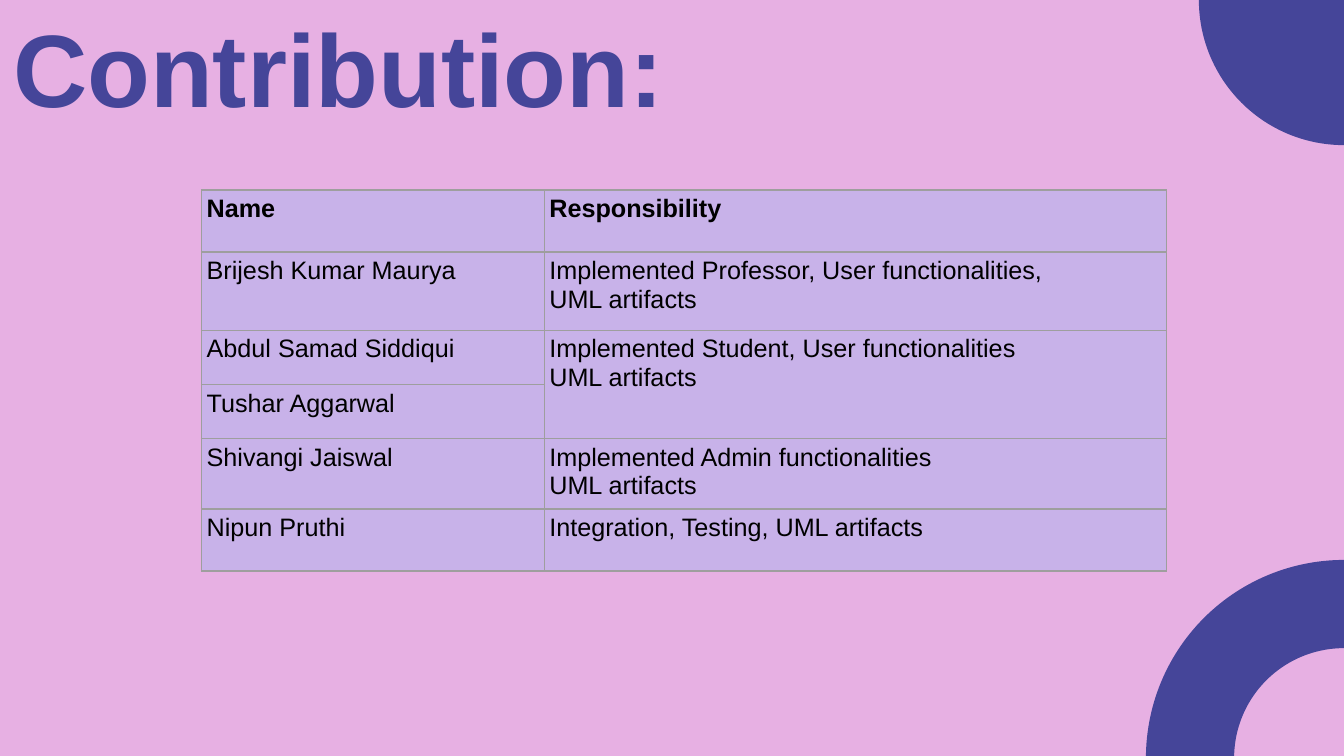
import math
import pptx
import pptx.dml.color
import pptx.oxml
import pptx.oxml.ns
import pptx.util

TITLE = "Contribution:"
ROWS = [
    ("Name", "Responsibility"),
    ("Brijesh Kumar Maurya",
     "Implemented Professor, User functionalities,\nUML artifacts"),
    ("Abdul Samad Siddiqui",
     "Implemented Student, User functionalities\nUML artifacts"),
    ("Tushar Aggarwal", None),  # None: shares the cell above
    ("Shivangi Jaiswal", "Implemented Admin functionalities\nUML artifacts"),
    ("Nipun Pruthi", "Integration, Testing, UML artifacts"),
]
COLORS = {"back": "E7B0E3", "accent": "454599", "cell": "C8B2E9",
          "edge": "9E9E9E", "text": "000000"}
FONT = "Arial"
WIDE, HIGH = 26.67, 15
LEFT, TOP = 0.15 * WIDE, 3.77
COLS = (6.8, 12.34)
TALL = (1.23, 1.55, 1.08, 1.07, 1.23, 1.23)
inch = pptx.util.Inches


def rgb(name):
    return pptx.dml.color.RGBColor.from_string(COLORS[name])


def style(para, size, color, bold):
    font = para.font
    font.name, font.size, font.bold = FONT, pptx.util.Pt(size), bold
    font.color.rgb = rgb(color)


def arc(mid, radius, start, end, steps=60):
    """Points on an arc around the right edge, kept on the slide."""
    points = []
    for step in range(steps + 1):
        turn = math.radians(start + (end - start) * step / steps)
        x = WIDE + radius * math.cos(turn)
        y = min(HIGH, mid + radius * math.sin(turn))
        points.append((inch(x), inch(y)))
    return points


def draw(slide, points):
    pen = slide.shapes.build_freeform(*points[0])
    pen.add_line_segments(points[1:], close=True)
    shape = pen.convert_to_shape()
    shape.shadow.inherit = False
    shape.fill.solid()
    shape.fill.fore_color.rgb = rgb("accent")
    shape.line.fill.background()


def fill_cell(cell, text, bold):
    cell.margin_left = cell.margin_right = inch(0.1)
    cell.margin_top = cell.margin_bottom = inch(0.1)
    para = cell.text_frame.paragraphs[0]
    para.text = text or ""
    style(para, 36, "text", bold)
    props = cell._tc.get_or_add_tcPr()
    for side in ("lnL", "lnR", "lnT", "lnB"):
        props.append(pptx.oxml.parse_xml(
            f'<a:{side} {pptx.oxml.ns.nsdecls("a")} w="25400"><a:solidFill>'
            f'<a:srgbClr val="{COLORS["edge"]}"/></a:solidFill></a:{side}>'))
    cell.fill.solid()
    cell.fill.fore_color.rgb = rgb("cell")


def add_grid(slide):
    table = slide.shapes.add_table(
        len(ROWS), len(COLS), inch(LEFT), inch(TOP),
        inch(sum(COLS)), inch(sum(TALL))).table
    table.horz_banding = False
    for col, width in zip(table.columns, COLS):
        col.width = inch(width)
    for r, (texts, height) in enumerate(zip(ROWS, TALL)):
        table.rows[r].height = inch(height)
        for c, text in enumerate(texts):
            fill_cell(table.cell(r, c), text, r == 0)
            if text is None:
                table.cell(r - 1, c).merge(table.cell(r, c))


def main():
    deck = pptx.Presentation()
    deck.slide_width, deck.slide_height = inch(WIDE), inch(HIGH)
    slide = deck.slides.add_slide(deck.slide_layouts[6])
    slide.background.fill.solid()
    slide.background.fill.fore_color.rgb = rgb("back")

    frame = slide.shapes.add_textbox(
        inch(0.26), inch(0.1), inch(21.55), inch(2.4)).text_frame
    frame.word_wrap = True
    frame.margin_left = frame.margin_right = 0
    frame.margin_top = frame.margin_bottom = 0
    frame.paragraphs[0].text = TITLE
    style(frame.paragraphs[0], 147, "accent", True)

    draw(slide, [(inch(WIDE), 0)] + arc(0, 2.88, 90, 180))
    mid = HIGH + 0.04
    draw(slide, arc(mid, 3.93, 270, 180) + arc(mid, 2.18, 180, 270))
    add_grid(slide)
    deck.save("out.pptx")


if __name__ == "__main__":
    main()
